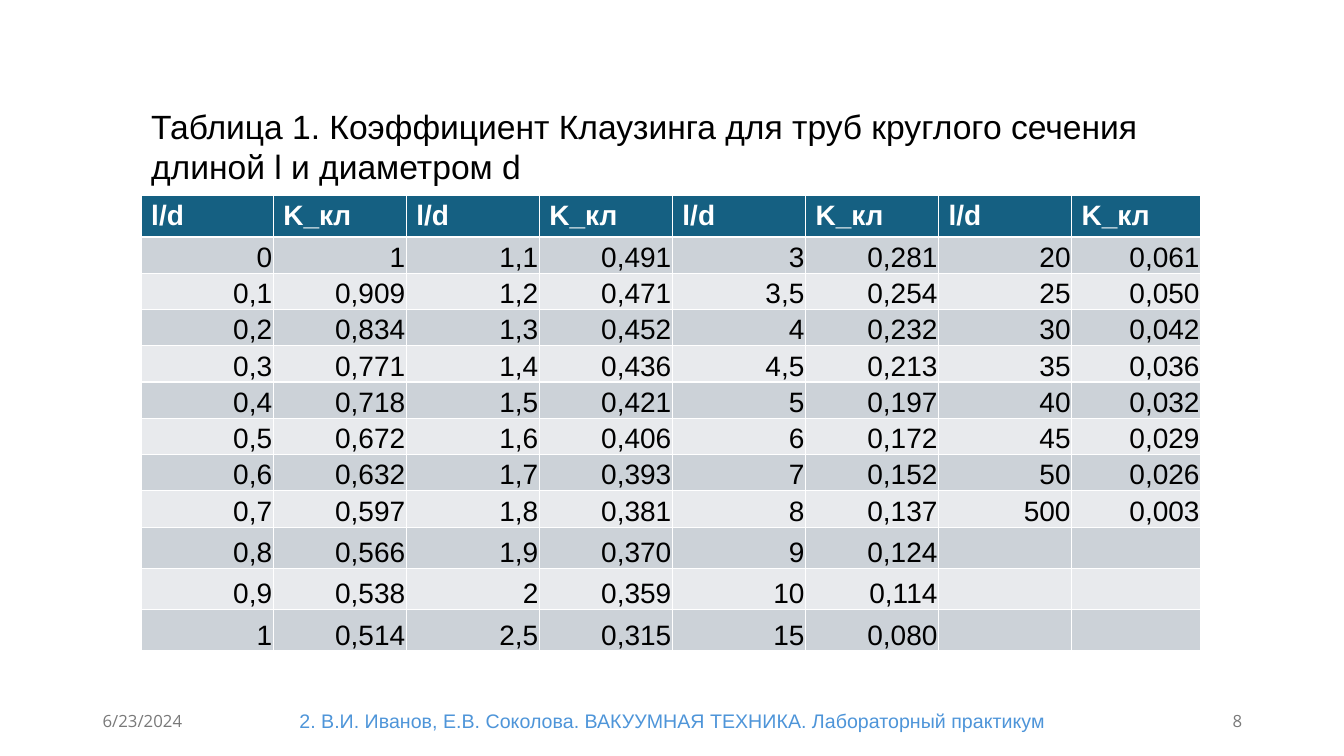
from pptx import Presentation
from pptx.dml.color import RGBColor
from pptx.enum import text
from pptx.util import Inches, Pt

BLACK = RGBColor(0x00, 0x00, 0x00)
WHITE = RGBColor(0xFF, 0xFF, 0xFF)
TEAL = RGBColor(0x15, 0x60, 0x82)
DARK_BAND = RGBColor(0xCC, 0xD2, 0xD8)
LIGHT_BAND = RGBColor(0xE8, 0xEA, 0xED)
GREY = RGBColor(0x79, 0x79, 0x79)
BLUE = RGBColor(0x4E, 0x95, 0xD9)

LEFT, MIDDLE, RIGHT = text.PP_ALIGN.LEFT, text.PP_ALIGN.CENTER, text.PP_ALIGN.RIGHT


def write(frame, words, size=20, color=BLACK, font="Arial", bold=False, align=LEFT):
    para = frame.paragraphs[0]
    para.alignment = align
    span = para.add_run()
    span.text = words
    span.font.size = Pt(size)
    span.font.name = font
    span.font.bold = bold
    span.font.color.rgb = color


deck = Presentation()
deck.slide_width = Inches(13.33)
deck.slide_height = Inches(7.5)
page = deck.slides.add_slide(deck.slide_layouts[6])

HEADINGS = ["l/d", "K_кл"] * 4
COEFFICIENTS = [
    "0 1 1,1 0,491 3 0,281 20 0,061",
    "0,1 0,909 1,2 0,471 3,5 0,254 25 0,050",
    "0,2 0,834 1,3 0,452 4 0,232 30 0,042",
    "0,3 0,771 1,4 0,436 4,5 0,213 35 0,036",
    "0,4 0,718 1,5 0,421 5 0,197 40 0,032",
    "0,5 0,672 1,6 0,406 6 0,172 45 0,029",
    "0,6 0,632 1,7 0,393 7 0,152 50 0,026",
    "0,7 0,597 1,8 0,381 8 0,137 500 0,003",
    "0,8 0,566 1,9 0,370 9 0,124",
    "0,9 0,538 2 0,359 10 0,114",
    "1 0,514 2,5 0,315 15 0,080",
]
WIDTHS = [1.31] + [1.32] * 6 + [1.28]
HEIGHTS = [0.41] + [0.36] * 8 + [0.41] * 3

table = page.shapes.add_table(
    len(HEIGHTS), len(WIDTHS), Inches(1.4), Inches(1.94),
    Inches(sum(WIDTHS)), Inches(sum(HEIGHTS))).table
for column, width in zip(table.columns, WIDTHS):
    column.width = Inches(width)
for row, height in zip(table.rows, HEIGHTS):
    row.height = Inches(height)

for cell, heading in zip(table.rows[0].cells, HEADINGS):
    cell.fill.solid()
    cell.fill.fore_color.rgb = TEAL
    write(cell.text_frame, heading, color=WHITE, bold=True)

for index, line in enumerate(COEFFICIENTS, start=1):
    cells = list(table.rows[index].cells)
    for cell in cells:
        cell.fill.solid()
        cell.fill.fore_color.rgb = DARK_BAND if index % 2 else LIGHT_BAND
    for cell, value in zip(cells, line.split()):
        cell.margin_left = cell.margin_right = cell.margin_top = Inches(0.01)
        cell.margin_bottom = 0
        cell.vertical_anchor = text.MSO_ANCHOR.BOTTOM
        write(cell.text_frame, value, align=RIGHT)

CAPTION = "Таблица 1. Коэффициент Клаузинга для труб круглого сечения длиной l и диаметром d"
SOURCE = "2. В.И. Иванов, Е.В. Соколова. ВАКУУМНАЯ ТЕХНИКА. Лабораторный практикум"
FOOTER = dict(size=12, color=GREY, font="Open Sans")
TOP, CENTER = text.MSO_ANCHOR.TOP, text.MSO_ANCHOR.MIDDLE

for words, place, anchor, style in [
    ("6/23/2024", (0.92, 6.95, 3, 0.4), CENTER, FOOTER),
    (SOURCE, (2.87, 6.95, 7.6, 0.4), CENTER, dict(size=14, color=BLUE, align=MIDDLE)),
    ("8", (9.42, 6.95, 3, 0.4), CENTER, dict(FOOTER, align=RIGHT)),
    (CAPTION, (1.4, 1, 10.52, 0.91), TOP, dict(size=24)),
]:
    box = page.shapes.add_textbox(*map(Inches, place))
    box.text_frame.word_wrap = True
    box.text_frame.vertical_anchor = anchor
    write(box.text_frame, words, **style)

deck.save("out.pptx")
